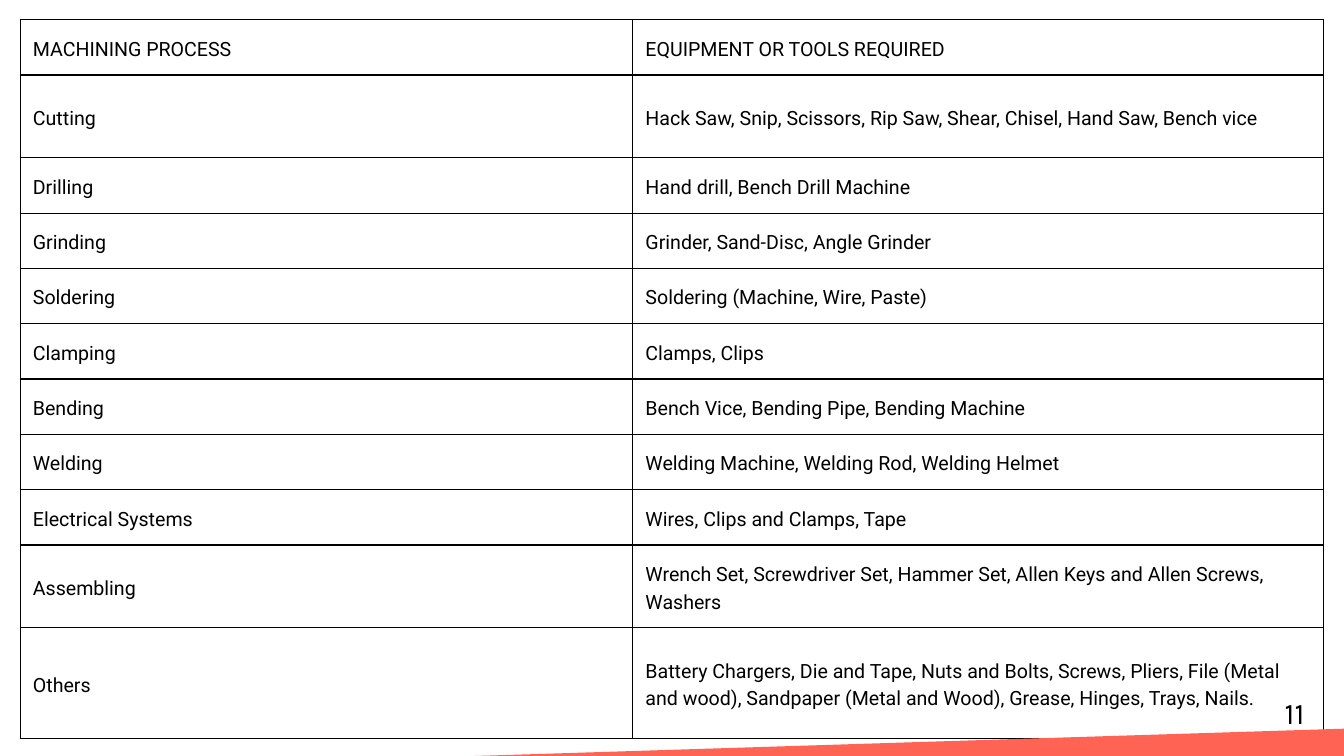
from lxml import etree
from pptx import Presentation
from pptx.dml.color import RGBColor
from pptx.enum.text import MSO_ANCHOR, PP_ALIGN
from pptx.oxml.ns import qn
from pptx.util import Pt

BLACK = RGBColor(0x00, 0x00, 0x00)
CORAL = RGBColor(0xFF, 0x63, 0x54)
MIDDLE = MSO_ANCHOR.MIDDLE
LEFT, CENTER = PP_ALIGN.LEFT, PP_ALIGN.CENTER

SLIDE_W, SLIDE_H = 1440, 810
CELL_MARGIN = 13.5
BORDER_WIDTH = 1.5
PROCESS_SHARE = 0.47  # part of the table width taken by the first column

# Process, tools, relative row height
PROCESSES = [
    ("MACHINING PROCESS", "EQUIPMENT OR TOOLS REQUIRED", 1),
    ("Cutting", "Hack Saw, Snip, Scissors, Rip Saw, Shear, Chisel, Hand Saw, Bench vice", 1.5),
    ("Drilling", "Hand drill, Bench Drill Machine", 1),
    ("Grinding", "Grinder, Sand-Disc, Angle Grinder", 1),
    ("Soldering", "Soldering (Machine, Wire, Paste)", 1),
    ("Clamping", "Clamps, Clips", 1),
    ("Bending", "Bench Vice, Bending Pipe, Bending Machine", 1),
    ("Welding", "Welding Machine, Welding Rod, Welding Helmet", 1),
    ("Electrical Systems", "Wires, Clips and Clamps, Tape", 1),
    ("Assembling", "Wrench Set, Screwdriver Set, Hammer Set, Allen Keys and Allen Screws, "
     "Washers", 1.5),
    ("Others", "Battery Chargers, Die and Tape, Nuts and Bolts, Screws, Pliers, File (Metal "
     "and wood), Sandpaper (Metal and Wood), Grease, Hinges, Trays, Nails.", 2),
]


def write(frame, text, font, size, spacing, align):
    paragraph = frame.paragraphs[0]
    paragraph.alignment = align
    paragraph.line_spacing = Pt(spacing)
    run = paragraph.add_run()
    run.text = text
    run.font.name = font
    run.font.size = Pt(size)
    run.font.color.rgb = BLACK


def set_borders(cell):
    properties = cell._tc.get_or_add_tcPr()
    for position, side in enumerate(("a:lnL", "a:lnR", "a:lnT", "a:lnB")):
        line = etree.Element(qn(side), w=str(Pt(BORDER_WIDTH)))
        fill = etree.SubElement(line, qn("a:solidFill"))
        etree.SubElement(fill, qn("a:srgbClr"), val=str(BLACK))
        properties.insert(position, line)


def add_process_table(slide, left, top, width, height):
    frame = slide.shapes.add_table(len(PROCESSES), 2, Pt(left), Pt(top), Pt(width), Pt(height))
    table = frame.table
    table.first_row = table.horz_banding = False
    table.columns[0].width = Pt(width * PROCESS_SHARE)
    table.columns[1].width = Pt(width * (1 - PROCESS_SHARE))
    unit = height / sum(weight for _, _, weight in PROCESSES)
    for row, (process, tools, weight) in zip(table.rows, PROCESSES):
        row.height = Pt(unit * weight)
        for cell, text in zip(row.cells, (process, tools)):
            cell.fill.background()
            cell.vertical_anchor = MIDDLE
            cell.margin_left = cell.margin_right = Pt(CELL_MARGIN)
            cell.margin_top = cell.margin_bottom = Pt(CELL_MARGIN)
            write(cell.text_frame, text, "Roboto", 21, 29.4, LEFT)
            set_borders(cell)


def add_footer_band(slide, left, top, width, height):
    right, bottom = left + width, top + height
    builder = slide.shapes.build_freeform(Pt(left), Pt(top))
    builder.add_line_segments(
        [(Pt(right), Pt(top)), (Pt(right), Pt(bottom)), (Pt(left), Pt(bottom))])
    band = builder.convert_to_shape()
    band.rotation = -1.8
    band.shadow.inherit = False
    band.fill.solid()
    band.fill.fore_color.rgb = CORAL
    band.line.fill.background()


def add_page_number(slide, left, top, width, height):
    frame = slide.shapes.add_textbox(Pt(left), Pt(top), Pt(width), Pt(height)).text_frame
    frame.word_wrap = True
    frame.margin_left = frame.margin_right = frame.margin_top = frame.margin_bottom = 0
    write(frame, "11", "Karla", 32, 44.8, CENTER)


def main():
    presentation = Presentation()
    presentation.slide_width, presentation.slide_height = Pt(SLIDE_W), Pt(SLIDE_H)
    slide = presentation.slides.add_slide(presentation.slide_layouts[6])
    add_process_table(slide, 21.75, 21, 1396.5, 770.4)
    add_footer_band(slide, 252.7, 799.2, 1201.7, 61.9)
    add_page_number(slide, 1370, 738, 34, 42.5)
    presentation.save("out.pptx")


if __name__ == "__main__":
    main()
